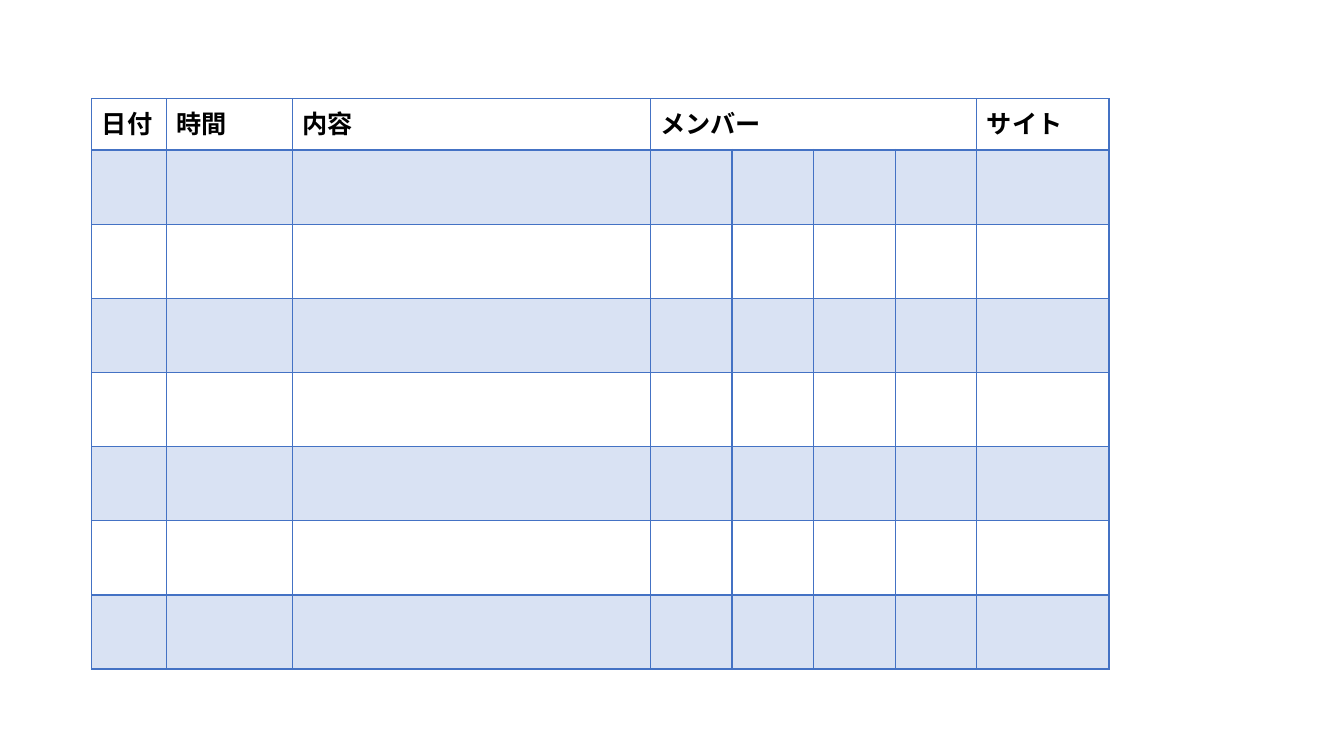
import pptx
import pptx.dml.color
import pptx.oxml
import pptx.oxml.ns
import pptx.util
import lxml.etree

Inches = pptx.util.Inches
BLUE = pptx.dml.color.RGBColor(0x44, 0x72, 0xC4)
BLACK = pptx.dml.color.RGBColor(0, 0, 0)
FACE = "Noto Sans CJK JP"
FORMAT = {"name": FACE, "size": pptx.util.Pt(18), "bold": True}
HEADS = {0: "日付", 1: "時間", 2: "内容", 3: "メンバー", 7: "サイト"}
WIDTHS = [0.74, 1.25, 3.55] + [0.81] * 4 + [1.31]
ROWS = 8
HEIGHT = 5.66
HEAD = 0.51


def add_child(parent, tag, **values):
    return lxml.etree.SubElement(parent, pptx.oxml.ns.qn(tag), **values)


def write_head(cell, text):
    cell.text = text
    font = cell.text_frame.paragraphs[0].runs[0].font
    for name, value in FORMAT.items():
        setattr(font, name, value)
    font.color.rgb = BLACK
    add_child(font._element, "a:ea", typeface=FACE)


def fill_cell(cell, shaded):
    if not shaded:
        cell.fill.background()
        return
    cell.fill.solid()
    cell.fill.fore_color.rgb = BLUE
    color = cell._tc.tcPr.find(".//" + pptx.oxml.ns.qn("a:srgbClr"))
    add_child(color, "a:alpha", val="20000")


def edge_cell(cell, row):
    widths = {"L": 1, "R": 1, "T": 2 if row == 1 else 1, "B": 2 if row == 0 else 1}
    props = cell._tc.get_or_add_tcPr()
    for index, (side, width) in enumerate(widths.items()):
        line = add_child(props, "a:ln" + side, w=str(pptx.util.Pt(width)))
        fill = add_child(line, "a:solidFill")
        add_child(fill, "a:srgbClr", val=str(BLUE))
        props.insert(index, line)


def add_plan(slide):
    frame = slide.shapes.add_table(
        ROWS, len(WIDTHS), Inches(0.91), Inches(0.98), Inches(sum(WIDTHS)), Inches(HEIGHT)
    )
    table = frame.table
    table.first_row = False
    table.horz_banding = False
    for column, width in zip(table.columns, WIDTHS):
        column.width = Inches(width)
    for index, row in enumerate(table.rows):
        row.height = Inches((HEIGHT - HEAD) / (ROWS - 1) if index else HEAD)
        for cell in row.cells:
            fill_cell(cell, index % 2 == 1)
            edge_cell(cell, index)
    table.cell(0, 3).merge(table.cell(0, 6))
    for column, text in HEADS.items():
        write_head(table.cell(0, column), text)


def main():
    deck = pptx.Presentation()
    deck.slide_width = Inches(13.33)
    deck.slide_height = Inches(7.5)
    slide = deck.slides.add_slide(deck.slide_layouts[6])
    add_plan(slide)
    deck.save("out.pptx")


if __name__ == "__main__":
    main()
